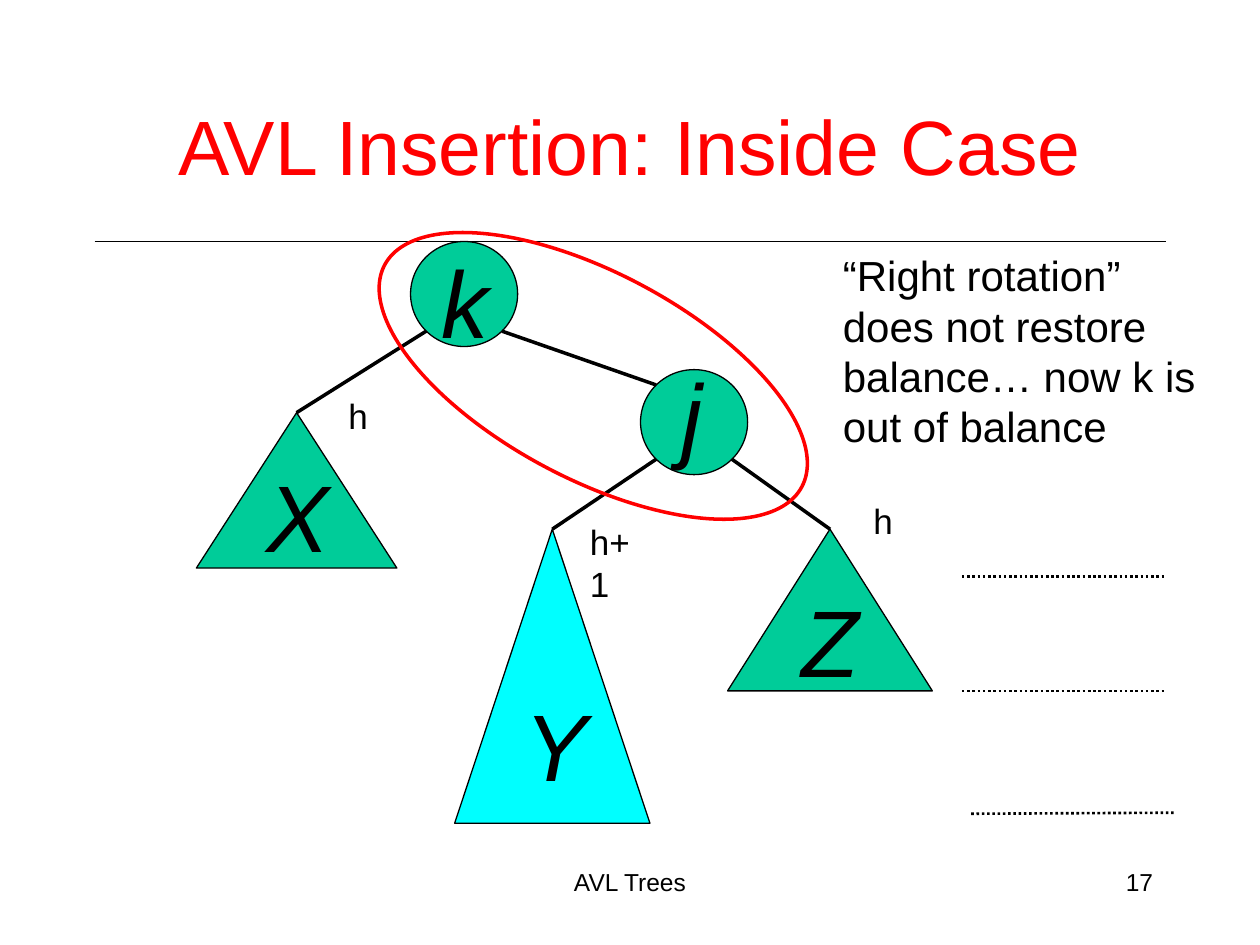
import math

import pptx
import pptx.dml.color
import pptx.enum.dml
import pptx.enum.shapes
import pptx.enum.text
import pptx.oxml.ns
import pptx.util

COLORS = {"ink": "000000", "accent": "FF0000", "node": "00CC99", "grown": "00FFFF"}
SHAPES = pptx.enum.shapes.MSO_SHAPE
ALIGN = pptx.enum.text.PP_ALIGN
DOTTED = pptx.enum.dml.MSO_LINE.ROUND_DOT
CELLS_PER_INCH = 12


def grid(n):
    """Return the length of n grid cells."""
    return pptx.util.Inches(n / CELLS_PER_INCH)


def color(name):
    """Return a named colour as an RGB value."""
    return pptx.dml.color.RGBColor.from_string(COLORS[name])


def write(sp, text, size, align=ALIGN.LEFT, ink="ink", italic=False):
    """Set the text of a shape and format every run."""
    tf = sp.text_frame
    tf.text = text
    for p in tf.paragraphs:
        p.alignment = align
        for r in p.runs:
            r.font.name = "Arial"
            r.font.size = pptx.util.Pt(size)
            r.font.italic = italic
            r.font.color.rgb = color(ink)


def add_title(s, text):
    """Place and fill the title placeholder."""
    sp = s.shapes.title
    sp.left, sp.top, sp.width, sp.height = map(grid, (8.8, 8.5, 102.4, 10.6))
    sp.text_frame.vertical_anchor = pptx.enum.text.MSO_ANCHOR.MIDDLE
    write(sp, text, 44, ALIGN.CENTER, "accent")


def add_label(s, text, box, size, align=ALIGN.LEFT, wrap=False):
    """Add a text box on the grid."""
    sp = s.shapes.add_textbox(*map(grid, box))
    sp.text_frame.word_wrap = wrap
    write(sp, text, size, align)
    return sp


def add_letter(s, text, x, y):
    """Add the large italic name of a node or subtree."""
    sp = s.shapes.add_textbox(grid(x), grid(y), grid(6.2), grid(12))
    sp.text_frame.margin_top = grid(1.4)
    sp.text_frame.word_wrap = True
    write(sp, text, 54, italic=True)


def add_outline(s, kind, box, fill=None, line="ink", width=0.75):
    """Add a preset shape with an optional fill."""
    sp = s.shapes.add_shape(kind, *map(grid, box))
    sp.shadow.inherit = False
    if fill:
        sp.fill.solid()
        sp.fill.fore_color.rgb = color(fill)
    else:
        sp.fill.background()
    sp.line.color.rgb = color(line)
    sp.line.width = pptx.util.Pt(width)
    return sp


def add_line(s, start, end, width, dash=None):
    """Add a straight line between two points given in EMU."""
    sp = s.shapes.add_connector(
        pptx.enum.shapes.MSO_CONNECTOR.STRAIGHT, *map(int, (*start, *end)))
    sp.line.color.rgb = color("ink")
    sp.line.width = pptx.util.Pt(width)
    if dash:
        sp.line.dash_style = dash
    effects = pptx.oxml.parse_xml(
        "<a:effectLst %s/>" % pptx.oxml.ns.nsdecls("a"))
    sp._element.spPr.append(effects)
    return sp


def rim(node, dx, dy):
    """Return the diagonal point on a node's rim towards dx, dy."""
    share = math.sqrt(0.5) / 2
    return (node.left + node.width * (0.5 + dx * share),
            node.top + node.height * (0.5 + dy * share))


def add_node(s, name, x, y, letter):
    """Add a round tree node with its letter."""
    node = add_outline(s, SHAPES.OVAL, (x, y, 10.2, 10), "node")
    add_letter(s, name, *letter)
    return node


def add_subtree(s, name, box, letter, parent, side, fill="node"):
    """Add a triangular subtree joined to its parent node."""
    tree = add_outline(s, SHAPES.ISOSCELES_TRIANGLE, box, fill)
    add_letter(s, name, *letter)
    apex = tree.left + tree.width / 2, tree.top
    add_line(s, rim(parent, side, 1), apex, 2).end_connect(tree, 0)


def add_rule(s, x, y, length, width, rise=0, dash=None):
    """Add a level or slightly rising rule on the grid."""
    add_line(s, (grid(x), grid(y)), (grid(x + length), grid(y - rise)), width, dash)


def main():
    """Build the slide and save it."""
    prs = pptx.Presentation()
    prs.slide_width, prs.slide_height = grid(120), grid(90)
    s = prs.slides.add_slide(prs.slide_layouts[5])

    add_title(s, "AVL Insertion: Inside Case")
    add_rule(s, 9, 23, 102, 0.75)
    add_label(s, "AVL Trees", (41, 82, 38, 6), 14, ALIGN.CENTER, True)
    add_label(s, "17", (86, 82, 25, 6), 14, ALIGN.RIGHT, True)

    j = add_node(s, "j", 61, 35.2, (63.7, 32.6))
    k = add_node(s, "k", 39.1, 23, (40.9, 21.8))
    add_line(s, rim(k, 1, 1), rim(j, -1, -1), 2)
    add_subtree(s, "X", (18.7, 39.3, 19.1, 14.8), (24.2, 42.2), k, -1)
    add_subtree(s, "Y", (43.3, 50.4, 18.6, 28), (48.8, 64), j, -1, "grown")
    add_subtree(s, "Z", (69.3, 50.4, 19.5, 15.4), (75.2, 54.1), j, 1)

    for x, y, rise in ((91.6, 54.9, 0), (91.6, 65.8, 0), (92.5, 77.5, 0.1)):
        add_rule(s, x, y, 19.5, 1.5, rise, DOTTED)

    remark = "“Right rotation”\ndoes not restore\nbalance… now k is\nout of balance"
    add_label(s, remark, (79.1, 23.2, 36, 20.4), 24)
    ring = add_outline(s, SHAPES.OVAL, (34, 26, 45, 19.6), line="accent", width=2)
    ring.rotation = 28
    for text, x, y, width in (("h", 82, 47, 4.3), ("h+1", 55, 49, 8), ("h", 32, 37, 4.2)):
        add_label(s, text, (x, y, width, 5.3), 20)

    prs.save("out.pptx")


if __name__ == "__main__":
    main()
